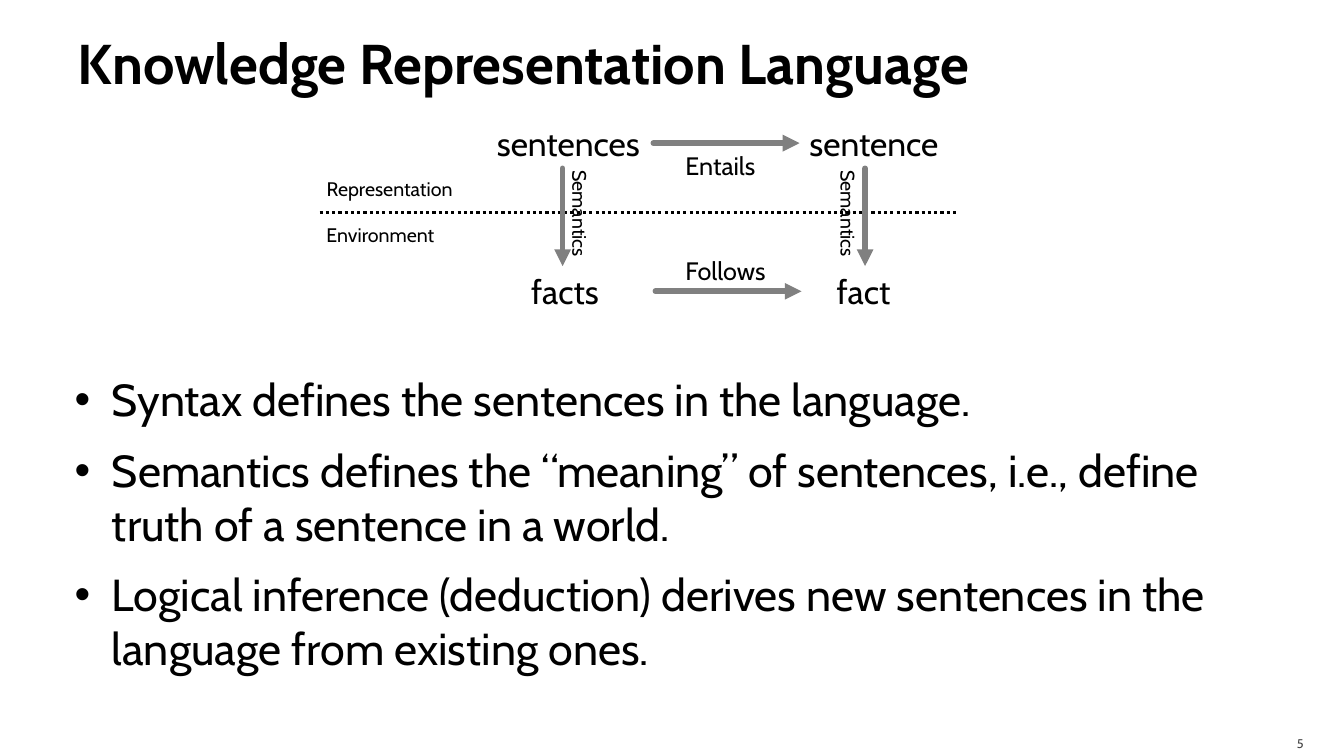
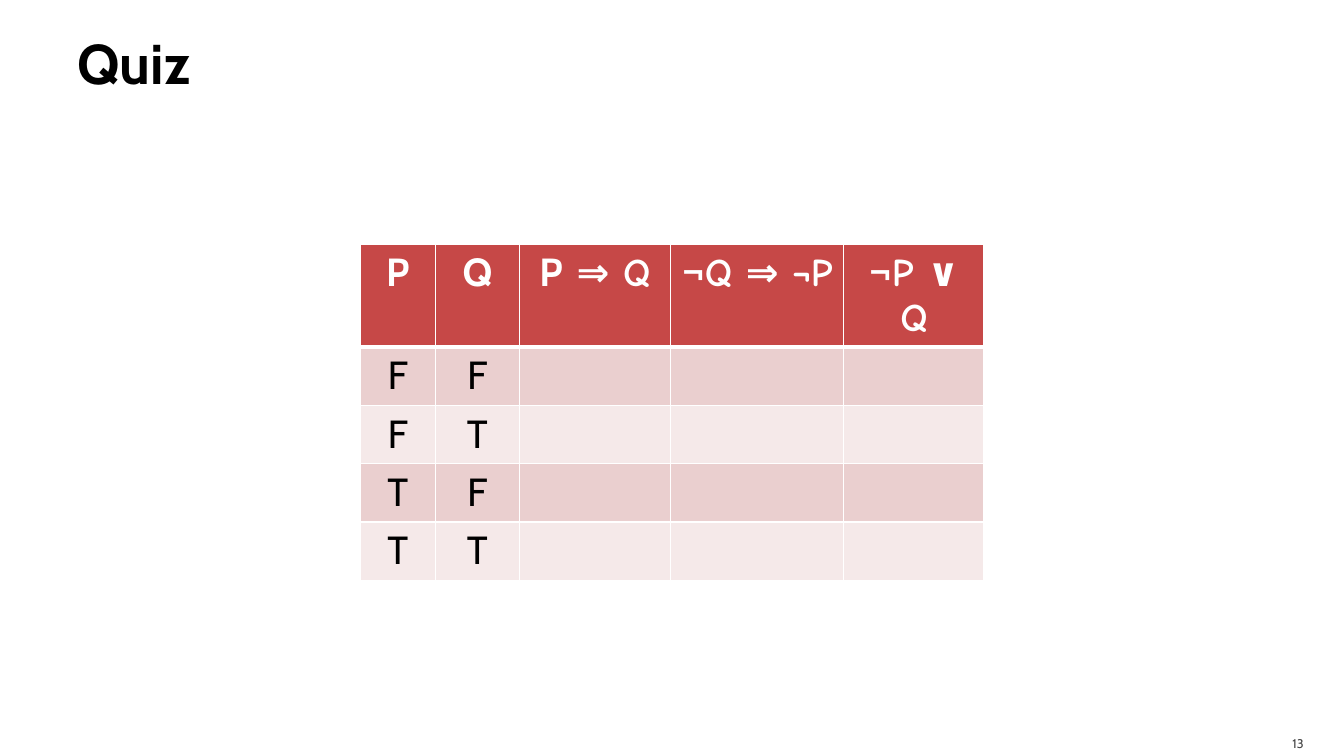
from dataclasses import dataclass

from lxml import etree
from pptx import Presentation
from pptx.dml.color import RGBColor
from pptx.enum import dml, shapes, text
from pptx.oxml import ns
from pptx.util import Inches, Pt


@dataclass(frozen=True)
class Theme:
    font: str = "Cabin"
    symbol_font: str = "Comic Neue"
    ink: str = "000000"
    paper: str = "FFFFFF"
    footer: str = "454545"
    arrow: str = "808080"
    header: str = "C64847"
    bands: tuple = ("EACFCF", "F5E9E9")
    title_size: int = 40
    body_size: int = 32
    table_size: int = 28
    node_size: int = 24
    relation_size: int = 18
    label_size: int = 14
    footer_size: int = 9


THEME = Theme()
LEFT, CENTER, RIGHT = text.PP_ALIGN.LEFT, text.PP_ALIGN.CENTER, text.PP_ALIGN.RIGHT


def write(frame, *paragraphs, size, color=THEME.ink, bold=False, align=LEFT,
          margins=None, anchor=None, wrap=True, fit=text.MSO_AUTO_SIZE.NONE):
    """Fill a text frame; a paragraph is a string or a list of (text, font) runs."""
    frame.word_wrap = wrap
    frame.auto_size = fit
    if anchor is not None:
        frame.vertical_anchor = anchor
    if margins:
        (frame.margin_left, frame.margin_top,
         frame.margin_right, frame.margin_bottom) = map(Inches, margins)
    for index, runs in enumerate(paragraphs):
        para = frame.paragraphs[0] if index == 0 else frame.add_paragraph()
        para.alignment = align
        if isinstance(runs, str):
            runs = [(runs, THEME.font)]
        for words, font in runs:
            span = para.add_run()
            span.text = words
            span.font.name = font
            span.font.size = Pt(size)
            span.font.bold = bold
            span.font.color.rgb = RGBColor.from_string(color)


def add_page(layout, title, number):
    page = deck.slides.add_slide(deck.slide_layouts[layout])
    heading = page.shapes.title
    heading.left, heading.top = Inches(0.67), Inches(0.08)
    heading.width, heading.height = Inches(12), Inches(1.08)
    write(heading.text_frame, title, size=THEME.title_size, bold=True,
          margins=(0.1, 0.05, 0.05, 0.05), anchor=text.MSO_ANCHOR.MIDDLE)
    footer = page.shapes.add_textbox(Inches(11.96), Inches(7.2), Inches(1.07), Inches(0.3))
    write(footer.text_frame, str(number), size=THEME.footer_size, color=THEME.footer,
          align=RIGHT, margins=(0.1, 0.05, 0.1, 0), anchor=text.MSO_ANCHOR.MIDDLE)
    return page


deck = Presentation()
deck.slide_width, deck.slide_height = Inches(13.33), Inches(7.5)

# Knowledge representation: bullets
page = add_page(1, "Knowledge Representation Language", 5)
body = page.placeholders[1]
body.left, body.top, body.width, body.height = map(Inches, (0.67, 3.59, 12, 3.58))
write(
    body.text_frame,
    "Syntax defines the sentences in the language.",
    "Semantics defines the “meaning” of sentences, i.e., define truth of a sentence in a world.",
    "Logical inference (deduction) derives new sentences in the language from existing ones.",
    size=THEME.body_size, margins=(0.06, 0.1, 0.1, 0.05), anchor=text.MSO_ANCHOR.TOP,
)
for para in body.text_frame.paragraphs:
    para.space_before = para.space_after = Pt(6)
    props = para._p.get_or_add_pPr()
    props.set("marL", str(Inches(0.38)))
    props.set("indent", str(Inches(-0.37)))
    bullet_color = etree.SubElement(props, ns.qn("a:buClr"))
    etree.SubElement(bullet_color, ns.qn("a:srgbClr"), val=THEME.ink)
    etree.SubElement(props, ns.qn("a:buFont"), typeface="Arial")
    etree.SubElement(props, ns.qn("a:buChar"), char="•")

# Knowledge representation: divider and arrows
lines = [
    (3.17, 2.11, 9.5, 2.11, False),
    (6.48, 1.42, 7.93, 1.42, True),
    (6.5, 2.89, 7.95, 2.89, True),
    (5.58, 1.67, 5.58, 2.64, True),
    (8.58, 1.67, 8.58, 2.64, True),
]
for *ends, is_arrow in lines:
    line = page.shapes.add_connector(shapes.MSO_CONNECTOR.STRAIGHT, *map(Inches, ends))
    line.line.color.rgb = RGBColor.from_string(THEME.arrow if is_arrow else THEME.ink)
    line.line.width = Pt(4 if is_arrow else 2.25)
    if is_arrow:
        outline = line.line._get_or_add_ln()
        outline.set("cap", "rnd")
        etree.SubElement(outline, ns.qn("a:tailEnd"), type="triangle")
    else:
        line.line.dash_style = dml.MSO_LINE.ROUND_DOT
    etree.SubElement(line._element.spPr, ns.qn("a:effectLst"))

# Knowledge representation: diagram labels
labels = [
    ("sentences", 4.83, 1.17, 1.64, 0.5, THEME.node_size, 0),
    ("sentence", 7.93, 1.17, 1.5, 0.5, THEME.node_size, 0),
    ("facts", 5.17, 2.64, 0.89, 0.5, THEME.node_size, 0),
    ("fact", 8.2, 2.64, 0.75, 0.5, THEME.node_size, 0),
    ("Representation", 3.14, 1.71, 1.49, 0.34, THEME.label_size, 0),
    ("Environment", 3.14, 2.16, 1.27, 0.34, THEME.label_size, 0),
    ("Entails", 6.7, 1.44, 0.9, 0.4, THEME.relation_size, 0),
    ("Follows", 6.7, 2.48, 1.02, 0.4, THEME.relation_size, 0),
    ("Semantics", 5.13, 2.04, 1.24, 0.34, THEME.label_size, 90),
    ("Semantics", 7.79, 2.04, 1.24, 0.34, THEME.label_size, 90),
]
for words, left, top, width, height, size, rotation in labels:
    box = page.shapes.add_textbox(*map(Inches, (left, top, width, height)))
    box.rotation = rotation
    write(box.text_frame, words, size=size, wrap=rotation != 0,
          fit=text.MSO_AUTO_SIZE.SHAPE_TO_FIT_TEXT)

# Quiz: truth table
page = add_page(5, "Quiz", 13)
rows = [
    ["P", "Q",
     [("P", THEME.font), (" ⇒ Q", THEME.symbol_font)],
     [("¬", THEME.font), ("Q ⇒ ¬P", THEME.symbol_font)],
     [("¬", THEME.font), ("P ∨ Q", THEME.symbol_font)]],
    *[[p, q, "", "", ""] for p in "FT" for q in "FT"],
]
widths = [0.75, 0.83, 1.5, 1.72, 1.39]
heights = [0.5] + [0.58] * 4
table = page.shapes.add_table(
    len(rows), len(widths), Inches(3.57), Inches(2.42),
    Inches(sum(widths)), Inches(sum(heights)),
).table
for column, width in zip(table.columns, widths):
    column.width = Inches(width)
for row, height in zip(table.rows, heights):
    row.height = Inches(height)

for r, entries in enumerate(rows):
    is_header = r == 0
    for c, entry in enumerate(entries):
        cell = table.cell(r, c)
        if entry:
            write(cell.text_frame, entry, size=THEME.table_size, bold=is_header,
                  color=THEME.paper if is_header else THEME.ink, align=CENTER)
        cell.fill.solid()
        cell.fill.fore_color.rgb = RGBColor.from_string(
            THEME.header if is_header else THEME.bands[(r - 1) % 2])
        props = cell._tc.get_or_add_tcPr()
        for position, side in enumerate("LRTB"):
            is_thick = (r, side) in ((0, "B"), (1, "T"))
            border = etree.Element(ns.qn(f"a:ln{side}"), w=str(Pt(3 if is_thick else 1)))
            fill = etree.SubElement(border, ns.qn("a:solidFill"))
            etree.SubElement(fill, ns.qn("a:srgbClr"), val=THEME.paper)
            props.insert(position, border)

deck.save("out.pptx")
